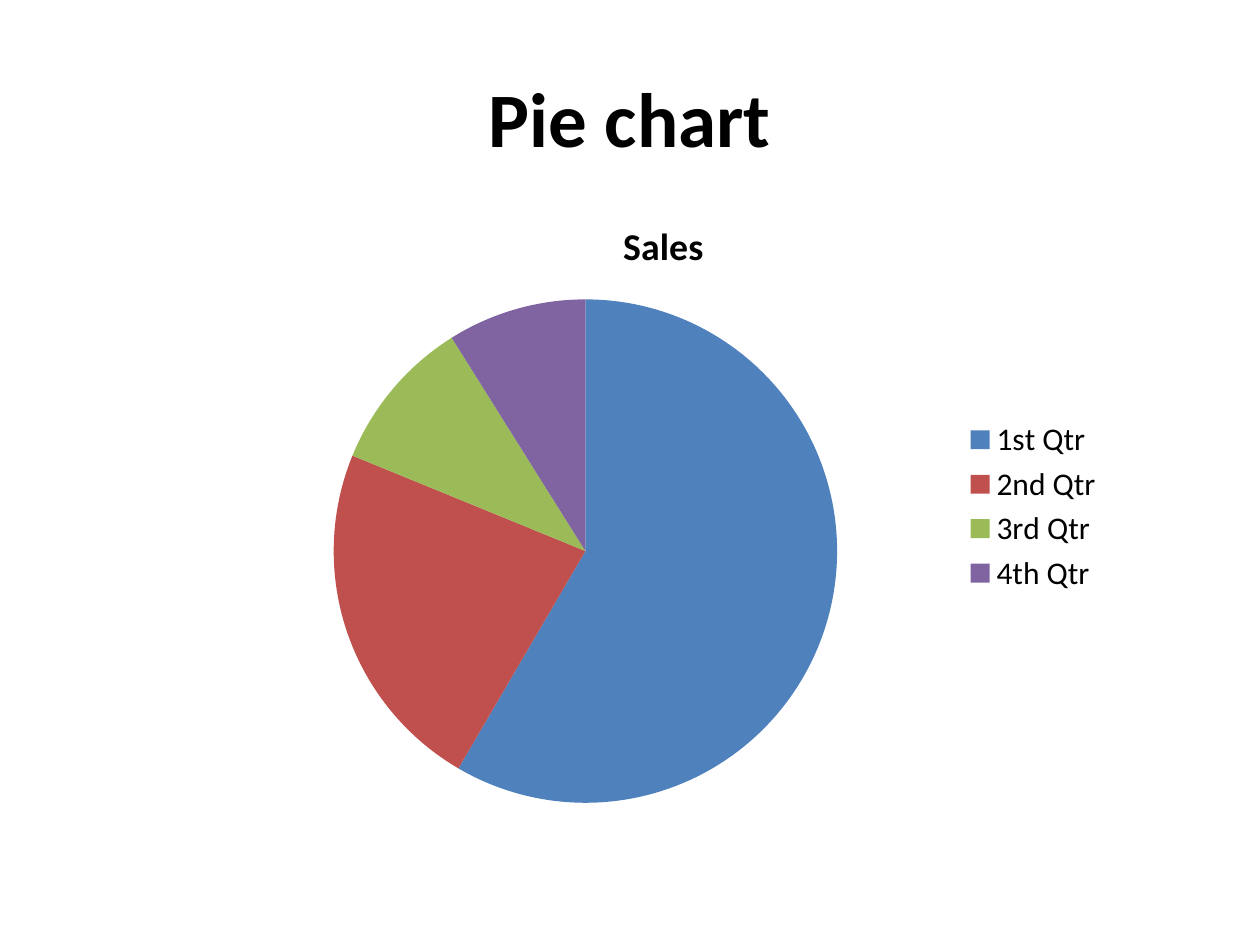
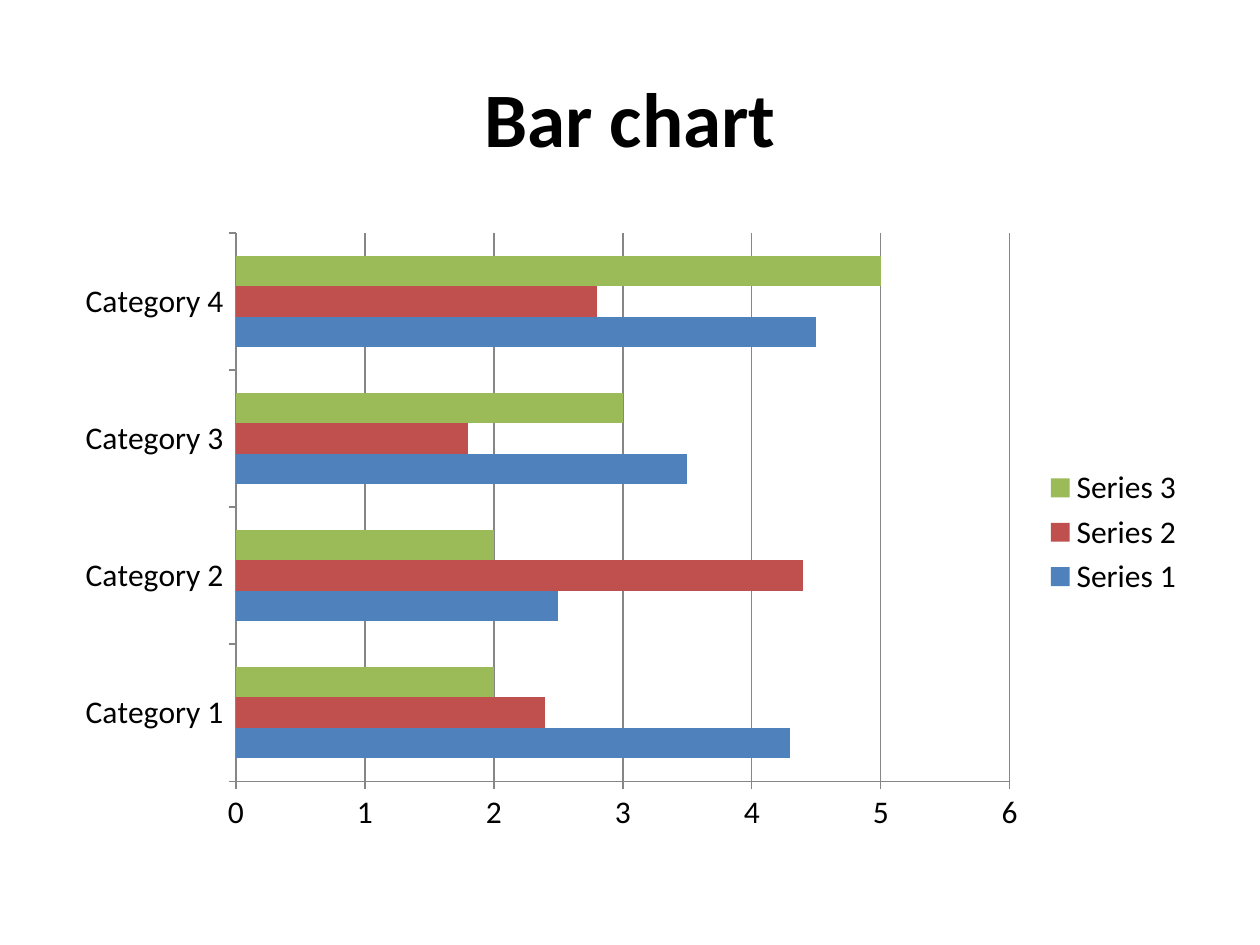
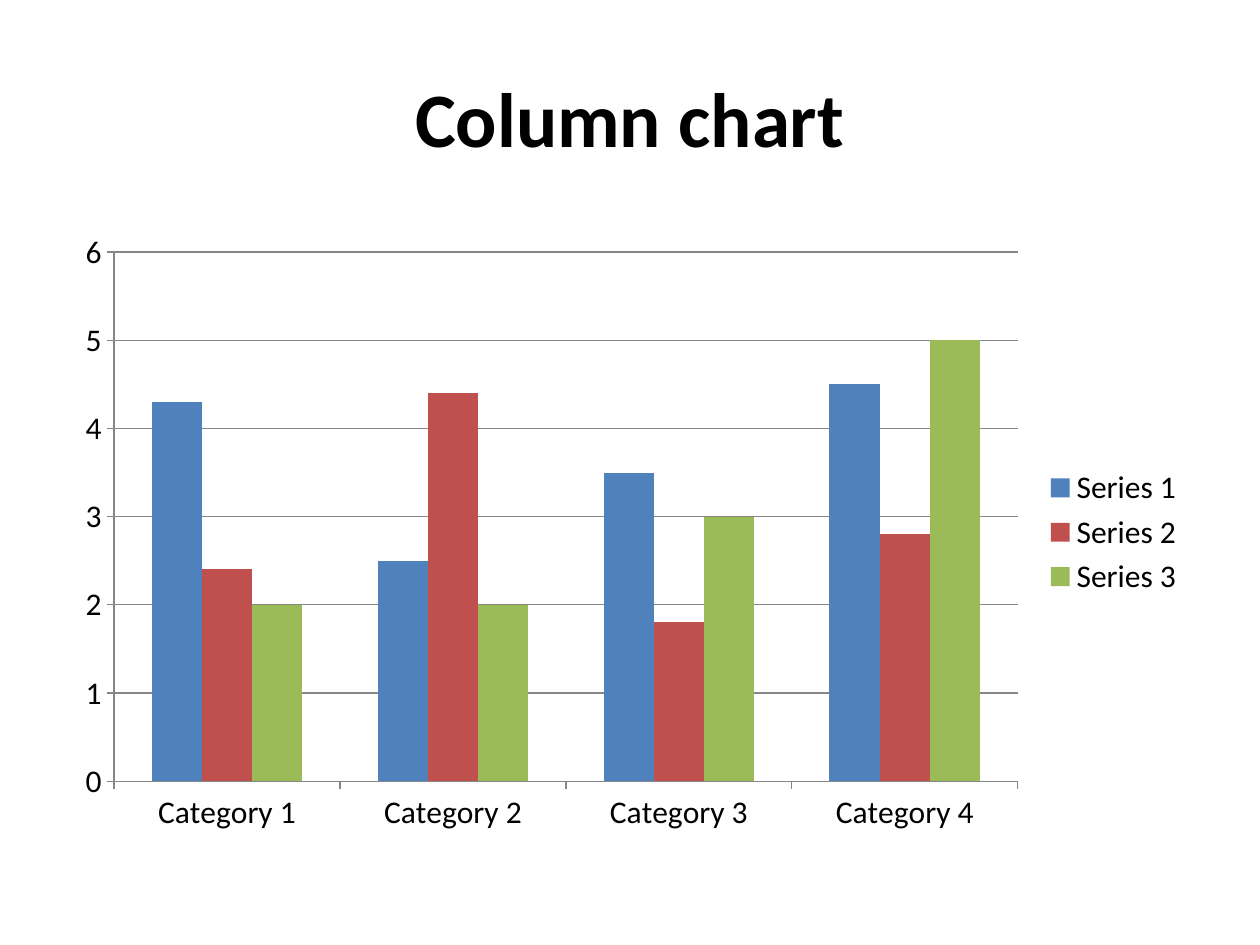
from dataclasses import dataclass

from pptx import Presentation
from pptx.chart.data import CategoryChartData as ChartData
from pptx.dml.color import RGBColor as Color
from pptx.enum.chart import XL_CHART_TYPE as Kind
from pptx.enum.chart import XL_LEGEND_POSITION as Side
from pptx.enum.chart import XL_TICK_MARK as Tick
from pptx.enum.text import MSO_ANCHOR as Anchor
from pptx.enum.text import PP_ALIGN as Align
from pptx.util import Pt


@dataclass(frozen=True)
class Theme:
    font: str = "Calibri"
    ink: Color = Color(0x00, 0x00, 0x00)
    rule: Color = Color(0x86, 0x86, 0x86)
    fills: tuple = tuple(
        Color.from_string(code) for code in ("4F81BD", "C0504D", "9BBB59", "8064A2")
    )
    head: float = 44
    name: float = 21.6
    body: float = 18
    hair: float = 0.75


class Deck:
    def __init__(self, theme):
        self.theme = theme
        self.file = Presentation()
        self.file.slide_width, self.file.slide_height = Pt(720), Pt(540)
        self.slide = None

    def style(self, font, size, bold=False):
        font.name, font.size, font.bold = self.theme.font, Pt(size), bold
        font.color.rgb = self.theme.ink

    def page(self, title):
        """Start a slide with its centred title."""
        self.slide = self.file.slides.add_slide(self.file.slide_layouts[6])
        box = self.slide.shapes.add_textbox(Pt(36), Pt(21.6), Pt(648), Pt(90))
        frame = box.text_frame
        frame.word_wrap = True
        frame.vertical_anchor = Anchor.MIDDLE
        frame.text = title
        line = frame.paragraphs[0]
        line.alignment = Align.CENTER
        self.style(line.runs[0].font, self.theme.head, True)

    def chart(self, kind, area, cats, rows):
        """Add a chart with the shared font and a legend on the right."""
        data = ChartData()
        data.categories = cats
        for name, vals in rows.items():
            data.add_series(name, vals)
        spot = [Pt(side) for side in area]
        chart = self.slide.shapes.add_chart(kind, *spot, data).chart
        self.style(chart.font, self.theme.body)
        chart.has_title = False
        chart.has_legend = True
        chart.legend.position = Side.RIGHT
        chart.legend.include_in_layout = False
        return chart

    def paint(self, part, color):
        part.format.fill.solid()
        part.format.fill.fore_color.rgb = color

    def pie(self, area, cats, name, vals):
        chart = self.chart(Kind.PIE, area, cats, {name: vals})
        chart.has_title = True
        frame = chart.chart_title.text_frame
        frame.text = name
        self.style(frame.paragraphs[0].runs[0].font, self.theme.name, True)
        chart.chart_title.include_in_layout = False
        plot = chart.plots[0]
        plot.vary_by_categories = True
        for spot, color in zip(range(len(vals)), self.theme.fills):
            self.paint(plot.series[0].points[spot], color)

    def bars(self, kind, area, cats, rows):
        chart = self.chart(kind, area, cats, rows)
        plot = chart.plots[0]
        plot.vary_by_categories = False
        plot.gap_width = 150
        for row, color in zip(plot.series, self.theme.fills):
            self.paint(row, color)
        scale = chart.value_axis
        scale.has_major_gridlines = True
        for axis in (chart.category_axis, scale):
            axis.major_tick_mark = Tick.OUTSIDE
            axis.minor_tick_mark = Tick.NONE
            self.rule(axis)
        self.rule(scale.major_gridlines)

    def rule(self, part):
        part.format.line.color.rgb = self.theme.rule
        part.format.line.width = Pt(self.theme.hair)


def main():
    deck = Deck(Theme())

    deck.page("Pie chart")
    quarters = ["1st Qtr", "2nd Qtr", "3rd Qtr", "4th Qtr"]
    deck.pie((120.24, 110.16, 517.68, 358.56), quarters, "Sales", (59, 23, 10, 9))

    cats = [f"Category {num}" for num in range(1, 5)]
    rows = {
        "Series 1": (4.3, 2.5, 3.5, 4.5),
        "Series 2": (2.4, 4.4, 1.8, 2.8),
        "Series 3": (2, 2, 3, 5),
    }
    for title, kind in (
        ("Bar chart", Kind.BAR_CLUSTERED),
        ("Column chart", Kind.COLUMN_CLUSTERED),
    ):
        deck.page(title)
        deck.bars(kind, (36, 126, 648, 356.4), cats, rows)

    deck.file.save("out.pptx")


if __name__ == "__main__":
    main()
